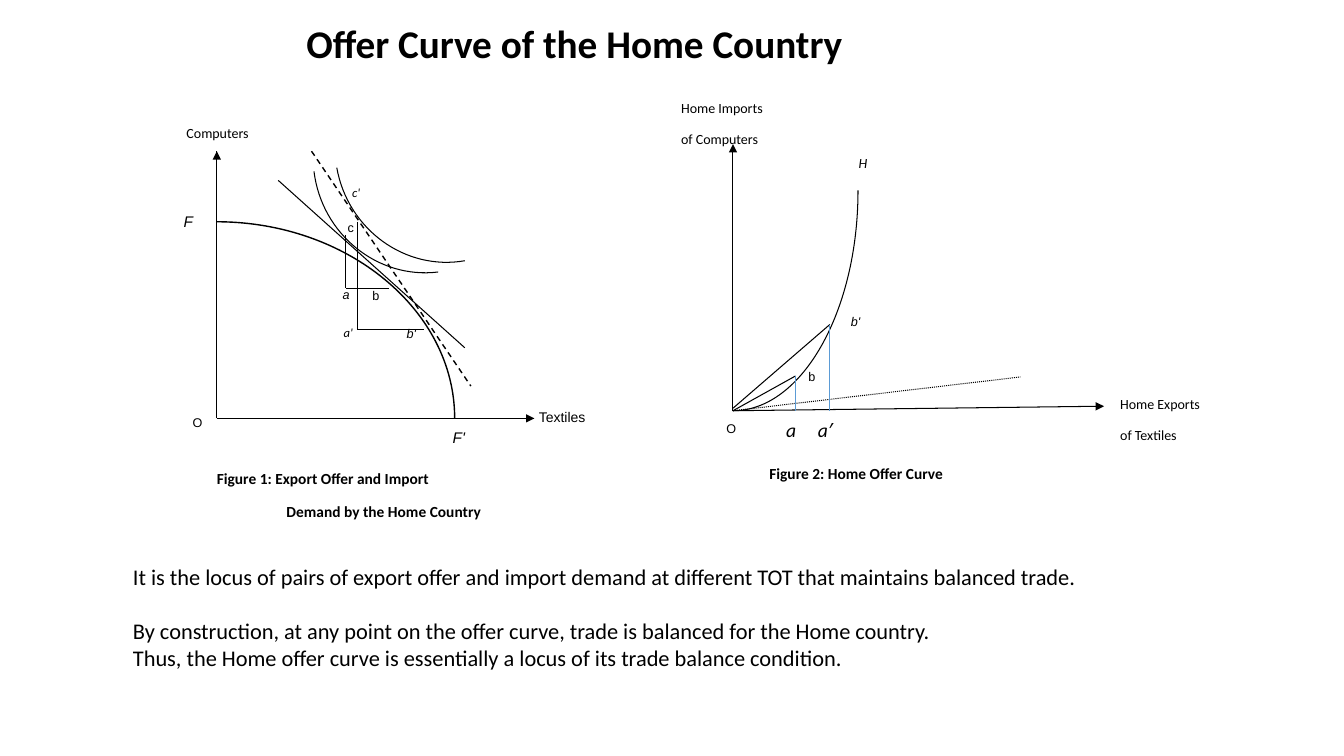
from lxml.etree import SubElement
from pptx import Presentation
from pptx.dml.color import RGBColor
from pptx.enum.dml import MSO_LINE
from pptx.enum.shapes import MSO_CONNECTOR
from pptx.enum.text import MSO_ANCHOR
from pptx.oxml.ns import qn
from pptx.util import Inches, Pt


def rgb(value):
    return RGBColor.from_string(value)


class Board:
    cell = 0.1
    ink = "000000"
    bend = 0.55

    def __init__(self, prs):
        self.prs = prs
        self.s = prs.slides.add_slide(prs.slide_layouts[6])

    def at(self, *cells):
        return [Inches(c * self.cell) for c in cells]

    def stroke(self, sp, width, color=None):
        sp.line.width = Pt(width)
        sp.line.color.rgb = rgb(color or self.ink)

    def line(self, start, end, width=0.75, color=None, dash=None, arrow=False):
        sp = self.s.shapes.add_connector(
            MSO_CONNECTOR.STRAIGHT, *self.at(*start, *end))
        self.stroke(sp, width, color)
        if dash:
            sp.line.dash_style = dash
        if arrow:
            SubElement(sp.line._get_or_add_ln(), qn("a:tailEnd"), type="triangle")
        SubElement(sp._element.spPr, qn("a:effectLst"))

    def quarter(self, start, end, width=0.75, turn=0):
        (x0, y0), (x1, y1) = start, end
        controls = ((x0 + self.bend * (x1 - x0), y0),
                    (x1, y1 - self.bend * (y1 - y0)), end)
        builder = self.s.shapes.build_freeform(*self.at(*start))
        builder.add_line_segments([self.at(*c) for c in controls], close=False)
        sp = builder.convert_to_shape()
        segments = list(sp._element.iter(qn("a:lnTo")))
        outline = segments[0].getparent()
        bezier = SubElement(outline, qn("a:cubicBezTo"))
        for segment in segments:
            bezier.append(segment[0])
            outline.remove(segment)
        sp.rotation = turn
        sp.fill.background()
        sp.shadow.inherit = False
        self.stroke(sp, width)

    def text(self, box, *lines, size=9, font="Calibri", bold=False,
             italic=False, inset=(1, 0.5), after=0, tab=None):
        sp = self.s.shapes.add_textbox(*self.at(*box))
        tf = sp.text_frame
        tf.word_wrap = True
        tf.margin_left, tf.margin_top = self.at(*inset)
        tf.margin_right, tf.margin_bottom = self.at(*inset)
        for i, words in enumerate(lines):
            p = tf.paragraphs[0] if i == 0 else tf.add_paragraph()
            p.text = words
            if after:
                p.space_after = Pt(after)
            if tab:
                tabs = SubElement(p._p.get_or_add_pPr(), qn("a:tabLst"))
                SubElement(tabs, qn("a:tab"), pos=str(self.at(tab)[0]), algn="l")
            p.font.name = font
            p.font.size = Pt(size)
            p.font.bold = bold
            p.font.italic = italic
            p.font.color.rgb = rgb(self.ink)
        return tf


def draw_trade_figure(board):
    o, f, f1 = (21.5, 41.5), (21.5, 22), (45.1, 41.5)
    for tip, neck in (((21.5, 15), (21.5, 16.9)), ((53, 41.5), (51.2, 41.5))):
        board.line(o, tip)
        board.line(neck, tip, arrow=True)
    board.quarter(f, f1, width=1)
    board.line((30.9, 15), (46.7, 38.3), width=1, dash=MSO_LINE.DASH)
    board.line((27.6, 17.9), (46.1, 34.5))
    board.quarter((45.2, 26.9), (34.3, 15.6), turn=350)
    board.quarter((42.8, 27.7), (31.8, 16.3), turn=353)
    for top, corner, right in ((22, (35.5, 32.7), 42.1),
                               (23.3, (34.3, 28.6), 38.6)):
        board.line((corner[0], top), corner)
        board.line(corner, (right, corner[1]))
    tight = (0.5, 0.2)
    board.text((18, 12.15, 7.7, 2.2), "Computers", size=10, inset=tight, after=8)
    board.text((52.95, 40.3, 8.8, 6), "Textiles", size=10, font="Arial", inset=tight)
    for x, y, w, name in ((17.7, 20.8, 3.1, "F"), (44.4, 42.25, 3.8, "F'")):
        board.text((x, y, w, 3.6), name, size=11, font="Arial",
                   italic=True, inset=tight)
    for x, y, w, h, name, font, italic in (
            (35.95, 28.1, 4.4, 3.9, "b", "Arial", False),
            (33.1, 31.7, 4.7, 6.3, "a'", "Calibri", True),
            (39.35, 31.8, 4.7, 6.3, "b'", "Arial", True),
            (33.5, 21.35, 4.3, 3.9, "c", "Arial", False),
            (33.95, 17.85, 4.6, 6.3, "c'", "Calibri", True),
            (33, 28, 4.3, 3.9, "a", "Arial", True)):
        board.text((x, y, w, h), name, font=font, italic=italic)
    tf = board.text((20.9, 46.25, 31.2, 5), "Figure 1: Export Offer and Import",
                    "Demand by the Home Country", size=11, bold=True,
                    inset=(0.6, 0.3), after=10)
    tf.paragraphs[1]._p.get_or_add_pPr().set("marL", str(board.at(6.9)[0]))


def draw_offer_figure(board):
    o, b, b1 = (72.7, 40.75), (78.9, 37.3), (82.3, 32.2)
    board.line(o, (72.7, 14.3), arrow=True)
    board.line(o, (109.5, 40.3), arrow=True)
    board.quarter(o, (85.1, 18.9))
    board.line((72.7, 40.5), b1)
    board.line(o, b)
    board.line(o, (101.2, 37.4), dash=MSO_LINE.ROUND_DOT)
    for x, y in (b, b1):
        board.line((x, y), (x, o[1]), width=0.5, color="5B9BD5")
    board.text((77, 41, 6.7, 3.4), "a\ta′", size=14, italic=True, tab=3.15)
    tight = (0.5, 0.2)
    for box, lines in (
            ((67.05, 9.7, 11.2, 3.8), ("Home Imports", "of Computers")),
            ((110.6, 39.05, 9.9, 4.1), ("Home Exports", "of Textiles"))):
        board.text(box, *lines, size=10, inset=tight, after=10)
    board.text((84.65, 15.1, 2.2, 1.9), "H", size=10, italic=True,
               inset=tight, after=10)
    board.text((83.4, 30.65, 4.7, 6.3), "b'", font="Arial", italic=True)
    board.text((79.2, 36.1, 4.4, 3.9), "b", font="Arial")
    board.text((75.8, 45.8, 20.8, 4), "Figure 2: Home Offer Curve",
               size=11, bold=True, inset=tight, after=10)


def main():
    prs = Presentation()
    prs.slide_width, prs.slide_height = Inches(13.33), Inches(7.5)
    board = Board(prs)
    draw_trade_figure(board)
    draw_offer_figure(board)
    for x, y in ((18.5, 40.85), (71.45, 41.5)):
        board.text((x, y, 3.4, 3.4), "O", font="Arial", inset=(0.6, 0.3))
    title = board.text((29.4, -0.15, 72.6, 9.4), "Offer Curve of the Home Country",
                       size=28, bold=True)
    title.vertical_anchor = MSO_ANCHOR.MIDDLE
    title.paragraphs[0].line_spacing = 0.9
    remarks = board.text(
        (12.2, 55.4, 97.8, 11.8),
        "It is the locus of pairs of export offer and import demand at different TOT that maintains balanced trade.",
        "By construction, at any point on the offer curve, trade is balanced for the Home country.",
        "Thus, the Home offer curve is essentially a locus of its trade balance condition.",
        size=16)
    remarks.paragraphs[1].space_before = Pt(19.5)
    prs.save("out.pptx")


if __name__ == "__main__":
    main()
